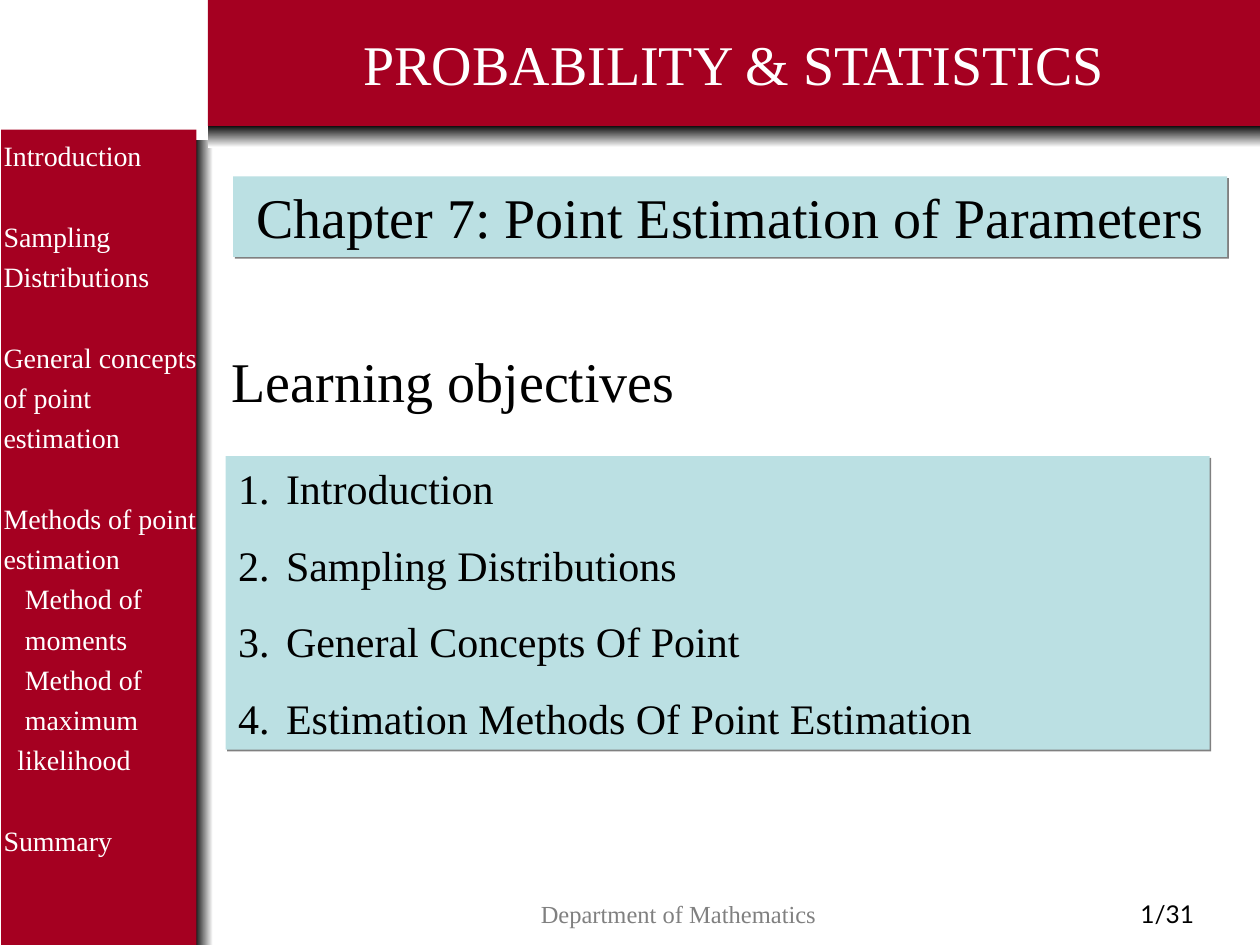
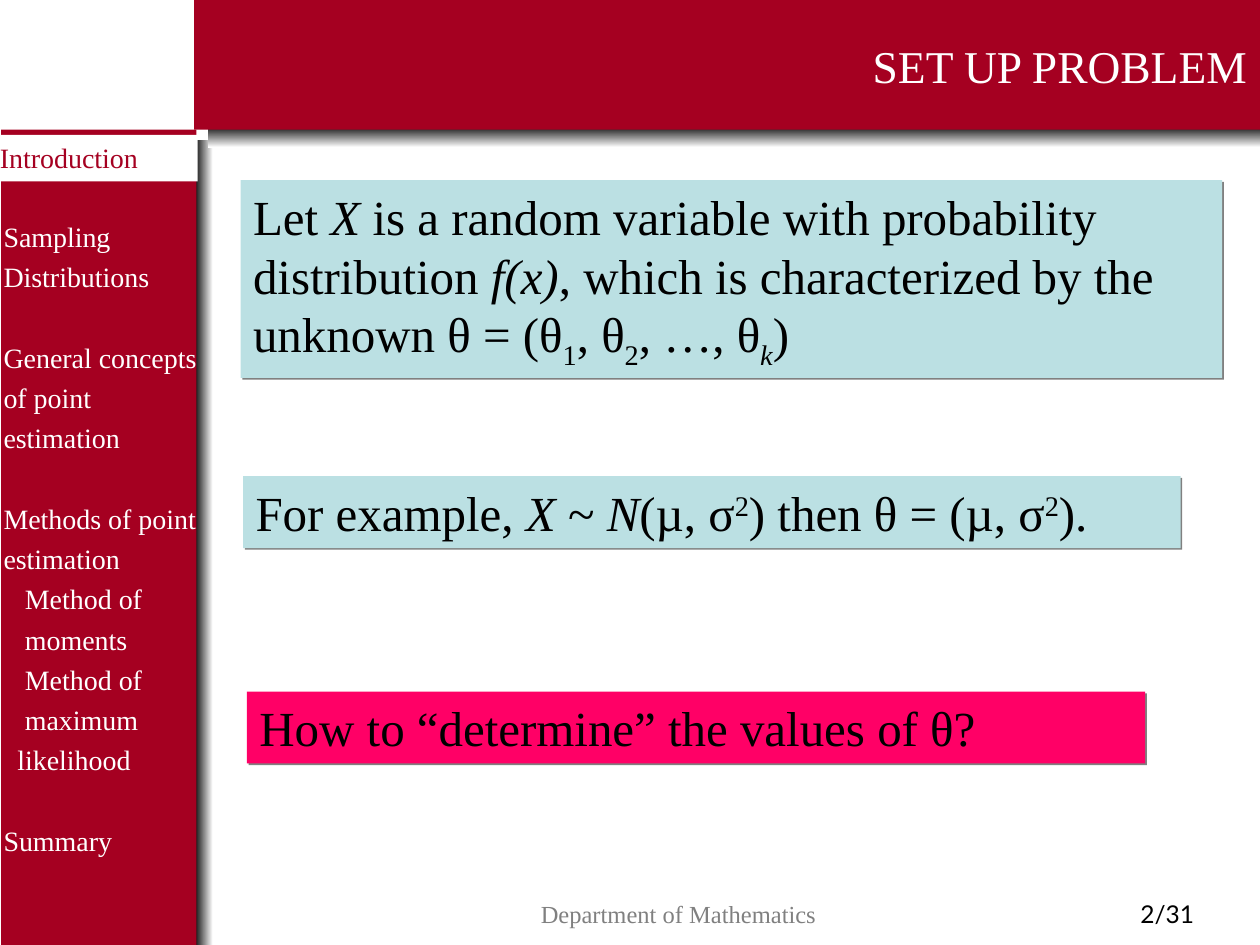
from lxml.etree import SubElement
from pptx import Presentation
from pptx.dml.color import RGBColor
from pptx.enum.shapes import MSO_SHAPE
from pptx.enum.text import MSO_ANCHOR, MSO_AUTO_SIZE, PP_ALIGN
from pptx.oxml.ns import qn
from pptx.util import Inches, Pt

CRIMSON, AQUA, PINK = "A50021", "BBE0E3", "FF0066"
BLACK, WHITE, GREY = "000000", "FFFFFF", "808080"
SERIF, SANS = "Times New Roman", "Lato"
TOTAL_SLIDES = 31

OUTLINE = [
    ("Introduction", 0, 0),
    ("Sampling Distributions", 0, 23),
    ("General concepts of point estimation", 0, 23),
    ("Methods of point estimation", 0, 23),
    ("Method of", 0.17, 0),
    ("moments", 0.17, 0),
    ("Method of", 0.17, 0),
    ("maximum", 0.17, 0),
    ("likelihood", 0.11, 0),
    ("Summary", 0, 23),
]
DEPARTMENT = "Department of Mathematics"

COVER_TITLE = "PROBABILITY & STATISTICS"
CHAPTER = "Chapter 7: Point Estimation of Parameters"
OBJECTIVES_HEADING = "Learning objectives"
OBJECTIVES = [
    "Introduction",
    "Sampling Distributions",
    "General Concepts Of Point",
    "Estimation Methods Of Point Estimation",
]

PROBLEM_TITLE = "SET UP PROBLEM"
CURRENT_SECTION = "Introduction"
ITALIC, SUB, SUP = {"italic": True}, {"baseline": -25}, {"baseline": 30}
STATEMENTS = [
    ((1.91, 1.43, 7.79, 1.57), AQUA, [
        ("Let ", {}), ("X", ITALIC),
        (" is a random variable with probability distribution ", {}),
        ("f(x)", ITALIC),
        (", which is characterized by the unknown θ = (θ", {}), ("1", SUB),
        (", θ", {}), ("2", SUB), (", …, θ", {}), ("k", ITALIC | SUB), (")", {}),
    ]),
    ((1.93, 3.78, 7.44, 0.57), AQUA, [
        ("For example, ", {}), ("X", ITALIC), (" ~ ", {}), ("N", ITALIC),
        ("(µ, σ", {}), ("2", SUP), (") then θ = (µ, σ", {}), ("2", SUP),
        (").", {}),
    ]),
    ((1.96, 5.49, 7.13, 0.57), PINK,
     [("How to “determine” the values of θ?", {})]),
]


def colour(value):
    return RGBColor.from_string(value)


def style_font(font, size, face, ink):
    font.size = Pt(size)
    font.name = face
    font.color.rgb = colour(ink)


def write(shape, paragraphs, size=28, face=SERIF, ink=BLACK,
          align=PP_ALIGN.LEFT, anchor=MSO_ANCHOR.TOP, before=0, spacing=1.0,
          side=0.1, bottom=0.05):
    frame = shape.text_frame
    frame.word_wrap = True
    frame.auto_size = MSO_AUTO_SIZE.NONE
    frame.vertical_anchor = anchor
    frame.margin_left = frame.margin_right = Inches(side)
    frame.margin_top, frame.margin_bottom = Inches(0.05), Inches(bottom)
    for index, content in enumerate(paragraphs):
        paragraph = frame.add_paragraph() if index else frame.paragraphs[0]
        paragraph.alignment = align
        paragraph.space_before = Pt(before)
        paragraph.line_spacing = spacing
        runs = [(content, {})] if isinstance(content, str) else content
        for words, style in runs:
            run = paragraph.add_run()
            run.text = words
            style_font(run.font, size, face, ink)
            run.font.italic = style.get("italic", False)
            if "baseline" in style:
                run.font._rPr.set("baseline", str(style["baseline"] * 1000))
    return frame


def place(shape, box):
    shape.left, shape.top, shape.width, shape.height = map(Inches, box)


def paint(shape, fill):
    shape.fill.solid()
    shape.fill.fore_color.rgb = colour(fill)
    shape.line.fill.background()


def add_block(slide, box, fill):
    block = slide.shapes.add_shape(MSO_SHAPE.RECTANGLE, *map(Inches, box))
    paint(block, fill)
    block.shadow.inherit = False
    return block


def add_fade(slide, box, angle):
    fade = add_block(slide, box, BLACK)
    fade.fill.gradient()
    fade.fill.gradient_angle = angle
    for stop, position, shade in zip(fade.fill.gradient_stops, (0, 1), (BLACK, WHITE)):
        stop.position = position
        stop.color.rgb = colour(shade)
    return fade


def cast_shadow(shape):
    shape.shadow.inherit = False
    effects = shape.element.spPr.find(qn("a:effectLst"))
    shadow = SubElement(effects, qn("a:outerShdw"), dist=str(Pt(1.4)),
                        dir="2700000", algn="ctr", rotWithShape="0")
    SubElement(shadow, qn("a:srgbClr"), val=GREY)


def add_text(slide, box, paragraphs, **text_format):
    label = slide.shapes.add_textbox(*map(Inches, box))
    write(label, paragraphs, **text_format)
    return label


def prepend_slide_number(label):
    run = label.text_frame.paragraphs[0].runs[0]._r
    field = run.makeelement(qn("a:fld"), {
        "id": "{B6F15528-21DE-4FAA-801E-634DDDAF4B2B}", "type": "slidenum"})
    run.addprevious(field)
    properties = SubElement(field, qn("a:rPr"), lang="en-US", sz="1400")
    ink = SubElement(properties, qn("a:solidFill"))
    SubElement(ink, qn("a:srgbClr"), val=BLACK)
    SubElement(properties, qn("a:latin"), typeface=SANS)
    SubElement(field, qn("a:t")).text = "‹#›"


def build_master(deck, slide):
    footer = {"size": 14, "align": PP_ALIGN.CENTER,
              "anchor": MSO_ANCHOR.BOTTOM, "bottom": 0.13}
    side_fade = add_fade(slide, (1.54, 1.11, 0.15, 6.39), 0)
    sidebar = add_block(slide, (0.01, 1.03, 1.55, 6.47), CRIMSON)
    top_fade = add_fade(slide, (1.65, 0.99, 8.35, 0.18), 270)
    outline = add_text(slide, (-0.07, 1, 1.77, 6.18),
                       [words for words, _, _ in OUTLINE],
                       size=16, ink=WHITE, spacing=1.2)
    for paragraph, (_, indent, gap) in zip(outline.text_frame.paragraphs, OUTLINE):
        paragraph.space_before = Pt(gap)
        paragraph._p.get_or_add_pPr().set("marL", str(Inches(indent)))
    number = add_text(slide, (8.53, 6.86, 1.47, 0.64), [f"/{TOTAL_SLIDES}"],
                      face=SANS, **footer)
    prepend_slide_number(number)
    department = add_text(slide, (2.34, 6.86, 6.09, 0.64), [DEPARTMENT],
                          ink=GREY, **footer)
    parts = (side_fade, sidebar, top_fade, outline, number, department)
    for part_id, part in enumerate(parts, 101):
        part.element.xpath("./p:nvSpPr/p:cNvPr")[0].set("id", str(part_id))
        deck.slide_master.shapes.element.append(part.element)


def set_title(slide, words, box, size, align):
    title = slide.shapes.title
    place(title, box)
    paint(title, CRIMSON)
    write(title, [words], size=size, ink=WHITE, align=align,
          anchor=MSO_ANCHOR.MIDDLE)


def build_cover(slide):
    set_title(slide, COVER_TITLE, (1.65, 0, 8.35, 1), 32, PP_ALIGN.CENTER)
    add_text(slide, (1.74, 2.7, 7.02, 0.64), [OBJECTIVES_HEADING], size=32)

    objectives = slide.placeholders[1]
    place(objectives, (1.79, 3.62, 7.81, 2.33))
    paint(objectives, AQUA)
    cast_shadow(objectives)
    frame = write(objectives, OBJECTIVES, size=24, before=15)
    for paragraph in frame.paragraphs:
        properties = paragraph._p.get_or_add_pPr()
        properties.set("marL", str(Inches(0.38)))
        properties.set("indent", str(-Inches(0.38)))
        SubElement(SubElement(properties, qn("a:buClr")), qn("a:srgbClr"), val=BLACK)
        SubElement(properties, qn("a:buFont"), typeface=SERIF)
        SubElement(properties, qn("a:buAutoNum"), type="arabicPeriod")

    chapter = add_block(slide, (1.85, 1.4, 7.89, 0.64), AQUA)
    cast_shadow(chapter)
    write(chapter, [CHAPTER], size=32, align=PP_ALIGN.CENTER)


def build_problem(slide):
    set_title(slide, PROBLEM_TITLE, (1.54, 0, 8.46, 1.03), 26, PP_ALIGN.RIGHT)
    for box, fill, statement in STATEMENTS:
        panel = add_block(slide, box, fill)
        cast_shadow(panel)
        write(panel, [statement])
    section = add_block(slide, (0, 1.07, 1.57, 0.37), WHITE)
    write(section, [CURRENT_SECTION], size=16, ink=CRIMSON, side=0)


def main():
    deck = Presentation()
    deck.slide_width, deck.slide_height = Inches(10), Inches(7.5)
    cover = deck.slides.add_slide(deck.slide_layouts.get_by_name("Title and Content"))
    build_master(deck, cover)
    build_cover(cover)
    build_problem(deck.slides.add_slide(deck.slide_layouts.get_by_name("Title Only")))
    deck.save("out.pptx")


if __name__ == "__main__":
    main()
